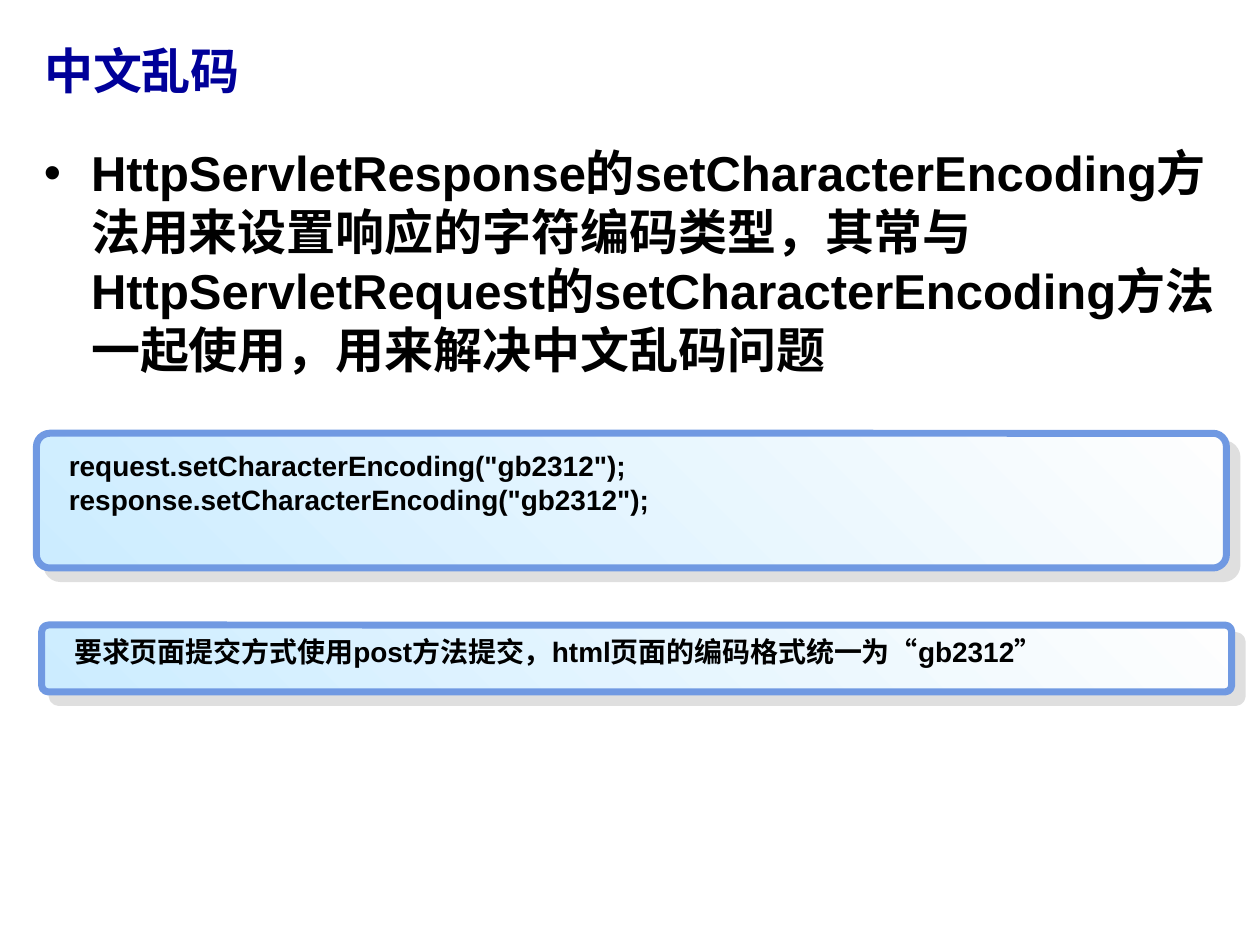
"""Build the slide on garbled Chinese text in servlets."""
import pptx
import pptx.dml.color
import pptx.enum.shapes
import pptx.enum.text
import pptx.oxml
import pptx.oxml.ns
import pptx.util

Pt = pptx.util.Pt
RGB = pptx.dml.color.RGBColor
Anchor = pptx.enum.text.MSO_ANCHOR

NAVY = RGB(0x00, 0x00, 0x99)
BLACK = RGB(0x00, 0x00, 0x00)
BLUE = RGB(0x70, 0x99, 0xE2)
PALE = RGB(0xCC, 0xEC, 0xFF)
WHITE = RGB(0xFE, 0xFE, 0xFE)
GREY = RGB(0xC0, 0xC0, 0xC0)

TITLE = "中文乱码"
BODY = ("HttpServletResponse的setCharacterEncoding方法用来设置响应的字符编码类型，"
        "其常与HttpServletRequest的setCharacterEncoding方法一起使用，用来解决中文乱码问题")
PANELS = [
    {"left": 20.8, "top": 247.6, "high": 77, "drop": 5.2, "lines": [
        'request.setCharacterEncoding("gb2312");',
        'response.setCharacterEncoding("gb2312");']},
    {"left": 23.8, "top": 357.2, "high": 38.2, "drop": 2.1, "lines": [
        "要求页面提交方式使用post方法提交，html页面的编码格式统一为“gb2312”"]},
]
WIDE, INSET, LEAD = 680, 11.5, 19.2
INDENT = 27


def element(xml):
    space = pptx.oxml.ns.nsdecls("a")
    return pptx.oxml.parse_xml(xml.replace(">", f" {space}>", 1))


def place(shape, left, top, width, height):
    shape.left, shape.top = Pt(left), Pt(top)
    shape.width, shape.height = Pt(width), Pt(height)


def write(shape, *lines, size=16, color=BLACK, anchor=Anchor.TOP, bullet=False):
    frame = shape.text_frame
    frame.text = "\n".join(lines)
    frame.word_wrap = True
    frame.auto_size = pptx.enum.text.MSO_AUTO_SIZE.NONE
    frame.vertical_anchor = anchor
    for para in frame.paragraphs:
        para.alignment = pptx.enum.text.PP_ALIGN.LEFT
        if bullet:
            props = para._p.get_or_add_pPr()
            props.set("marL", str(Pt(INDENT)))
            props.set("indent", str(-Pt(INDENT)))
            props.append(element('<a:buFont typeface="Arial"></a:buFont>'))
            props.append(element('<a:buChar char="•"></a:buChar>'))
        for run in para.runs:
            font = run.font
            font.name, font.size, font.bold = "Arial", Pt(size), True
            font.color.rgb = color


def panel(shapes, left, top, high, drop, lines):
    kind = pptx.enum.shapes.MSO_SHAPE.ROUNDED_RECTANGLE
    card = shapes.add_shape(kind, Pt(left), Pt(top), Pt(WIDE), Pt(high))
    card.adjustments[0] = 0.1
    card.fill.gradient()
    card.fill.gradient_angle = 225
    for stop, color in zip(card.fill.gradient_stops, (WHITE, PALE)):
        stop.color.rgb = color
    card.line.color.rgb = BLUE
    card.line.width = Pt(4)
    card.shadow.inherit = False
    effects = card._element.spPr.find(pptx.oxml.ns.qn("a:effectLst"))
    effects.append(element(
        f'<a:outerShdw dist="{Pt(8.5)}" dir="2700000" algn="ctr" rotWithShape="0">'
        f'<a:srgbClr val="{GREY}"><a:alpha val="50000"/></a:srgbClr></a:outerShdw>'))
    label = shapes.add_textbox(0, 0, 0, 0)
    place(label, left + INSET, top + drop, WIDE - 2 * INSET, 7.2 + LEAD * len(lines))
    write(label, *lines)


def main():
    deck = pptx.Presentation()
    deck.slide_width, deck.slide_height = Pt(720), Pt(540)
    slide = deck.slides.add_slide(deck.slide_layouts[5])
    title = slide.shapes.title
    place(title, 18, 16, 648, 48)
    write(title, TITLE, size=28, color=NAVY, anchor=Anchor.MIDDLE)
    body = slide.shapes.add_textbox(0, 0, 0, 0)
    place(body, 18, 78, 690, 398)
    write(body, BODY, size=28, bullet=True)
    for item in PANELS:
        panel(slide.shapes, **item)
    deck.save("out.pptx")


if __name__ == "__main__":
    main()
